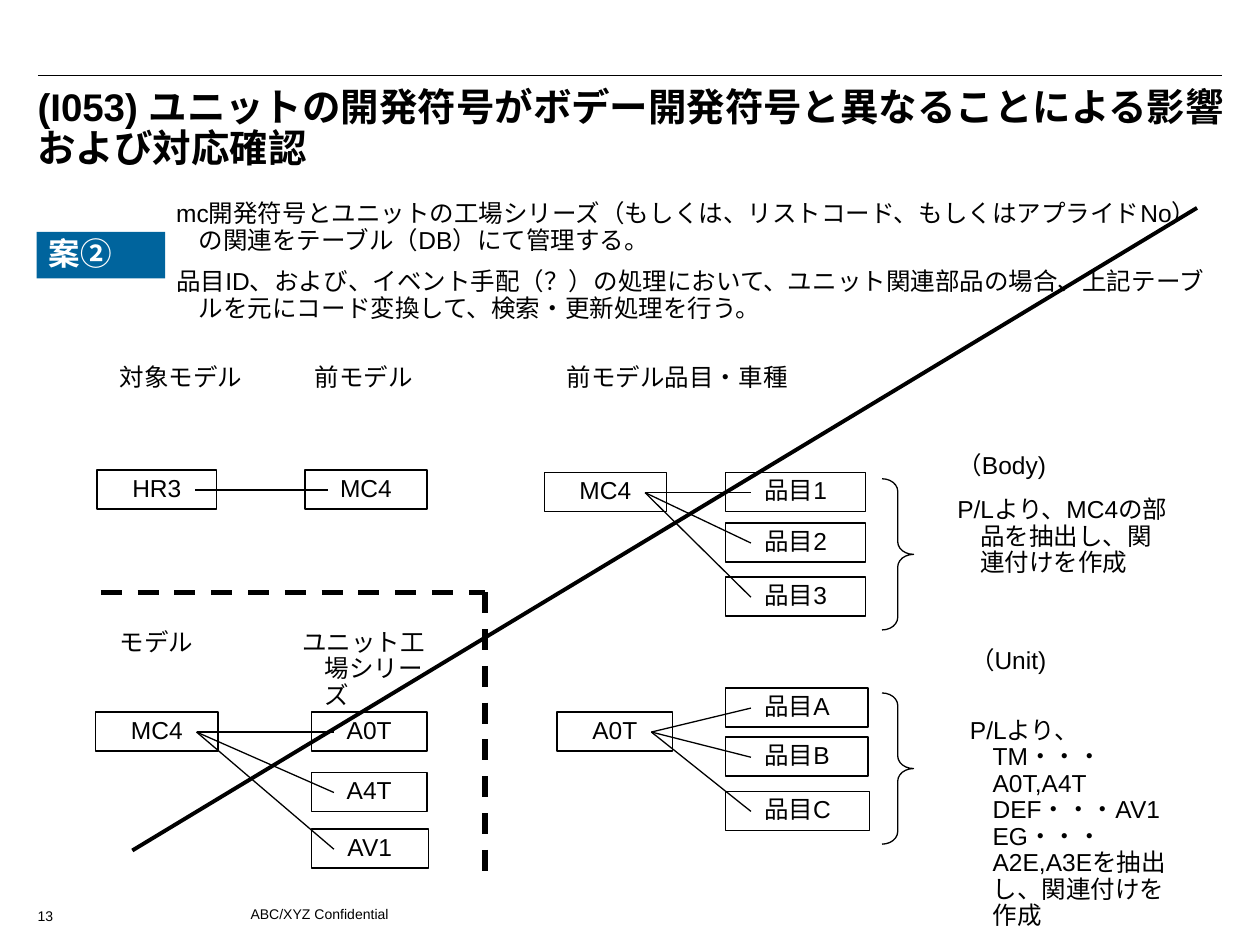
import pptx
import pptx.util
import pptx.dml.color
import pptx.enum.dml
import pptx.enum.shapes
import pptx.enum.text
import pptx.oxml.ns
from lxml import etree

Inches = pptx.util.Inches
Pt = pptx.util.Pt
SHAPE = pptx.enum.shapes.MSO_SHAPE
ALIGN = pptx.enum.text.PP_ALIGN
ANCHOR = pptx.enum.text.MSO_ANCHOR

COLORS = {"black": "000000", "white": "FFFFFF", "blue": "00649D"}
FONT = "Arial"
BOX_H = 0.31
HANG = 0.18


def rgb(name):
    return pptx.dml.color.RGBColor.from_string(COLORS[name])


def write(tf, paragraphs, size=14, bold=False, color="black", hang=HANG,
          line_spacing=0.9, align=ALIGN.LEFT):
    for i, text in enumerate(paragraphs):
        p = tf.paragraphs[0] if i == 0 else tf.add_paragraph()
        p.alignment = align
        p.line_spacing = line_spacing
        p.space_before = Pt(8.8 if i else 0)
        if hang:
            pPr = p._p.get_or_add_pPr()
            pPr.set("marL", str(Inches(hang)))
            pPr.set("indent", str(-Inches(hang)))
        for j, line in enumerate(text.split("\n")):
            if j:
                p.add_line_break()
            r = p.add_run()
            r.text = line
            r.font.name = FONT
            r.font.size = Pt(size)
            r.font.bold = bold
            r.font.color.rgb = rgb(color)


def add_text(s, x, y, w, h, *paragraphs, **style):
    sp = s.shapes.add_textbox(Inches(x), Inches(y), Inches(w), Inches(h))
    sp.text_frame.word_wrap = True
    write(sp.text_frame, paragraphs, **style)


def add_preset(s, kind, x, y, w, h, fill=None):
    sp = s.shapes.add_shape(kind, Inches(x), Inches(y), Inches(w), Inches(h))
    sp.shadow.inherit = False
    if fill:
        sp.fill.solid()
        sp.fill.fore_color.rgb = rgb(fill)
        sp.line.fill.background()
    else:
        sp.fill.background()
        sp.line.color.rgb = rgb("black")
        sp.line.width = Pt(0.75)
    return sp


def add_box(s, x, y, w, text):
    sp = add_preset(s, SHAPE.RECTANGLE, x, y, w, BOX_H)
    tf = sp.text_frame
    tf.word_wrap = False
    tf.vertical_anchor = ANCHOR.MIDDLE
    write(tf, [text], align=ALIGN.CENTER)


def add_tag(s, x, y, w, h, text):
    sp = add_preset(s, SHAPE.RECTANGLE, x, y, w, h, fill="blue")
    tf = sp.text_frame
    tf.word_wrap = False
    tf.vertical_anchor = ANCHOR.TOP
    write(tf, [text], size=18, bold=True, color="white")


def add_brace(s, x, y):
    sp = add_preset(s, SHAPE.RIGHT_BRACE, x, y, 0.25, 1.2)
    sp.adjustments[0] = 0.4


def add_line(s, x1, y1, x2, y2, width=0.75, dashed=False):
    c = s.shapes.add_connector(pptx.enum.shapes.MSO_CONNECTOR.STRAIGHT,
                               Inches(x1), Inches(y1), Inches(x2), Inches(y2))
    c.line.color.rgb = rgb("black")
    c.line.width = Pt(width)
    if dashed:
        c.line.dash_style = pptx.enum.dml.MSO_LINE.DASH
    etree.SubElement(c._element.spPr, pptx.oxml.ns.qn("a:effectLst"))


def add_fan(s, root, start_x, end_x, leaves):
    """A root box joined by lines to its leaf boxes, each (x, y, w, text)."""
    add_box(s, *root)
    for leaf in leaves:
        add_box(s, *leaf)
        add_line(s, start_x, root[1] + 0.16, end_x, leaf[1] + 0.16)


def main():
    prs = pptx.Presentation()
    prs.slide_width, prs.slide_height = Inches(10), Inches(7.5)
    s = prs.slides.add_slide(prs.slide_layouts[6])

    # Title and proposal
    add_line(s, 0.3, 0.6, 9.7, 0.6)
    add_text(s, 0.2, 0.65, 9.65, 0.81,
             "(I053) ユニットの開発符号がボデー開発符号と異なることによる影響および対応確認",
             size=22, bold=True, hang=0)
    add_tag(s, 0.29, 1.84, 1.02, 0.37, "案②")
    add_text(s, 1.3, 1.55, 8.4, 1.07,
             "mc開発符号とユニットの工場シリーズ（もしくは、リストコード、もしくはアプライドNo）"
             "の関連をテーブル（DB）にて管理する。",
             "品目ID、および、イベント手配（？）の処理において、ユニット関連部品の場合、"
             "上記テーブルを元にコード変換して、検索・更新処理を行う。")

    # Column headings
    for x, y, w, text in [(0.85, 2.85, 1.25, "対象モデル"),
                          (2.4, 2.85, 1.25, "前モデル"),
                          (4.4, 2.85, 2.2, "前モデル品目・車種"),
                          (7.5, 3.55, 1.25, "（Body)"),
                          (7.6, 5.1, 1.25, "（Unit)"),
                          (0.85, 4.95, 1.25, "モデル")]:
        add_text(s, x, y, w, BOX_H, text)
    add_text(s, 2.3, 4.95, 1.25, 0.73, "ユニット工場シリーズ")

    # Box diagrams
    add_fan(s, (0.77, 3.73, 0.95, "HR3"), 1.55, 2.6,
            [(2.42, 3.73, 0.97, "MC4")])
    add_fan(s, (4.32, 3.75, 0.97, "MC4"), 5.12, 5.96,
            [(5.76, 3.75, 1.11, "品目1"),
             (5.76, 4.15, 1.11, "品目2"),
             (5.76, 4.58, 1.11, "品目3")])
    add_fan(s, (0.76, 5.65, 0.97, "MC4"), 1.56, 2.65,
            [(2.47, 5.65, 0.92, "A0T"),
             (2.47, 6.13, 0.92, "A4T"),
             (2.47, 6.58, 0.93, "AV1")])
    add_fan(s, (4.42, 5.65, 0.92, "A0T"), 5.17, 5.96,
            [(5.76, 5.46, 1.13, "品目A"),
             (5.76, 5.85, 1.13, "品目B"),
             (5.76, 6.28, 1.14, "品目C")])

    # Braces and explanations
    for y in (3.8, 5.5):
        add_brace(s, 7, y)
    add_text(s, 7.5, 3.9, 1.9, 0.73, "P/Lより、MC4の部品を抽出し、関連付けを作成")
    add_text(s, 7.6, 5.65, 1.9, 1.78,
             "P/Lより、\nTM・・・A0T,A4T\nDEF・・・AV1\n"
             "EG・・・A2E,A3Eを抽出し、関連付けを作成")

    # Dashed corner and strike-through line
    add_line(s, 0.8, 4.7, 3.85, 4.7, width=3, dashed=True)
    add_line(s, 3.85, 4.7, 3.85, 7, width=3, dashed=True)
    add_line(s, 1.05, 6.75, 9.5, 1.65, width=2.25)

    # Footer
    footer = {"size": 8, "hang": 0, "line_spacing": 1.0}
    add_text(s, 1.89, 7.14, 6.5, 0.2, "ABC/XYZ Confidential", **footer)
    add_text(s, 0.2, 7.15, 0.4, 0.2, "13", **footer)

    prs.save("out.pptx")


if __name__ == "__main__":
    main()
